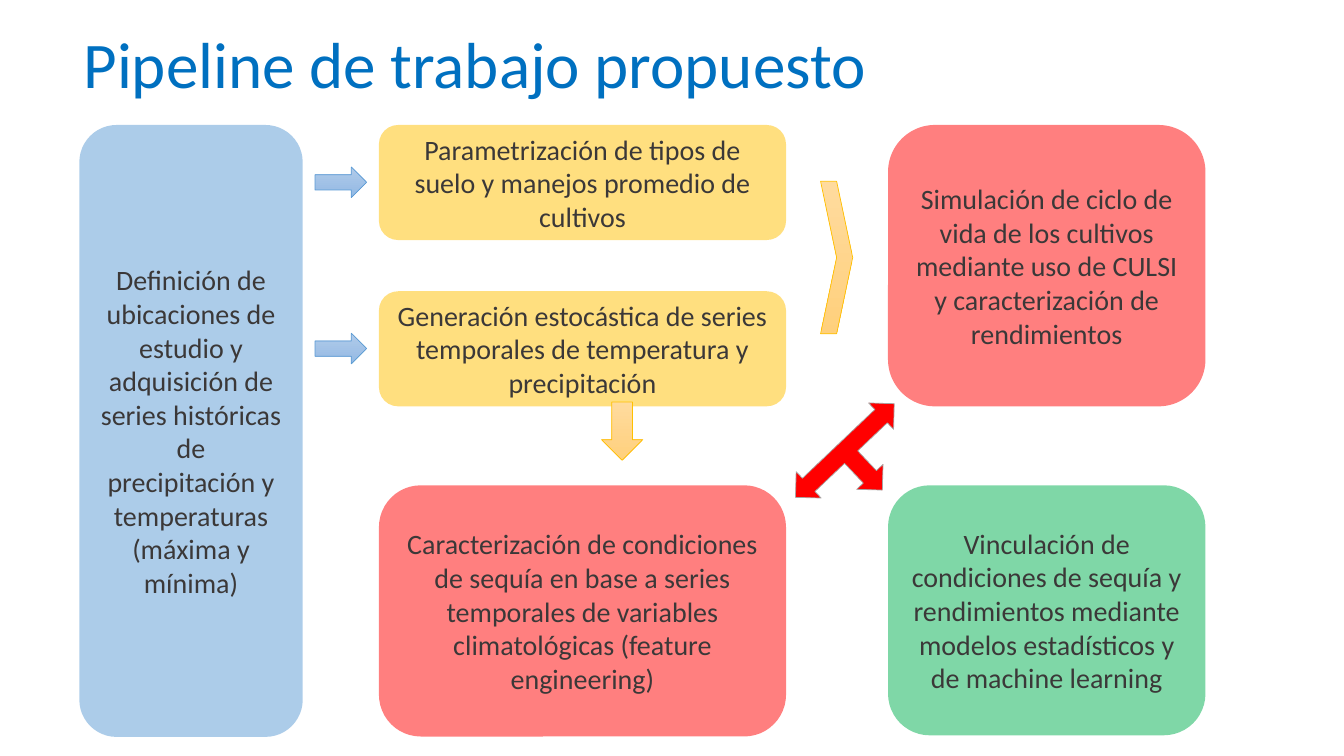
"""Builds the slide that shows the proposed drought and crop-yield workflow."""
from dataclasses import dataclass

from lxml import etree
from pptx import Presentation
from pptx import util as u
from pptx.dml.color import RGBColor
from pptx.enum import shapes, text
from pptx.oxml.ns import qn

Kind = shapes.MSO_SHAPE


@dataclass(frozen=True)
class Theme:
    font: str = "Calibri"
    title_size: float = 46.5
    body_size: float = 20
    title: str = "0070C0"
    ink: str = "3B3838"
    blue: str = "5B9BD5"
    amber: str = "FFC000"
    red: str = "FF0000"
    green: str = "00B050"
    grey: str = "A5A5A5"
    blue_fade: tuple = ("B1CBE9", "93B9E4")
    amber_fade: tuple = ("FFDB9E", "FFD07C")


def write(frame, words, size, color, font, align, anchor, spacing=None):
    frame.word_wrap = True
    frame.auto_size = text.MSO_AUTO_SIZE.NONE
    frame.vertical_anchor = anchor
    paragraph = frame.paragraphs[0]
    paragraph.alignment = align
    paragraph.line_spacing = spacing
    run = paragraph.add_run()
    run.text = words
    run.font.size = u.Pt(size)
    run.font.name = font
    run.font.color.rgb = RGBColor.from_string(color)


class Board:
    def __init__(self, slide, theme):
        self.slide = slide
        self.theme = theme

    def title(self, words, left, top, width, height):
        heading = self.slide.shapes.title
        heading.left, heading.top = u.Cm(left), u.Cm(top)
        heading.width, heading.height = u.Cm(width), u.Cm(height)
        write(heading.text_frame, words, size=self.theme.title_size, color=self.theme.title,
              font=self.theme.font, align=text.PP_ALIGN.LEFT,
              anchor=text.MSO_ANCHOR.BOTTOM, spacing=0.7)

    def shape(self, kind, box):
        shape = self.slide.shapes.add_shape(kind, *map(u.Cm, box))
        shape.shadow.inherit = False
        return shape

    def step(self, words, color, *box):
        card = self.shape(Kind.ROUNDED_RECTANGLE, box)
        card.fill.solid()
        card.fill.fore_color.rgb = RGBColor.from_string(color)
        tint = card.element.spPr.find(".//" + qn("a:srgbClr"))
        etree.SubElement(tint, qn("a:alpha")).set("val", "50000")
        card.line.fill.background()
        write(card.text_frame, words, size=self.theme.body_size, color=self.theme.ink,
              font=self.theme.font, align=text.PP_ALIGN.CENTER,
              anchor=text.MSO_ANCHOR.MIDDLE)

    def arrow(self, kind, fade, outline, *box, rotation=0):
        arrow = self.shape(kind, box)
        arrow.rotation = rotation
        if len(set(fade)) == 1:
            arrow.fill.solid()
            arrow.fill.fore_color.rgb = RGBColor.from_string(fade[0])
        else:
            arrow.fill.gradient()
            arrow.fill.gradient_angle = 270
            for stop, color in zip(arrow.fill.gradient_stops, fade):
                stop.color.rgb = RGBColor.from_string(color)
        arrow.line.color.rgb = RGBColor.from_string(outline)
        arrow.line.width = u.Pt(0.5)


theme = Theme()
deck = Presentation()
deck.slide_width, deck.slide_height = u.Cm(33.87), u.Cm(19.05)
board = Board(deck.slides.add_slide(deck.slide_layouts.get_by_name("Title Only")), theme)

board.title("Pipeline de trabajo propuesto", 1.85, 0.79, 29.21, 1.85)

sites, inputs, results = (2.0, 5.63), (9.55, 10.26), (22.38, 8.0)
top_row, series_row, bottom_row = 3.15, 7.34, 12.23
steps = [
    ("Definición de ubicaciones de estudio y adquisición de series históricas de "
     "precipitación y temperaturas (máxima y mínima)", theme.blue, sites, top_row, 15.42),
    ("Generación estocástica de series temporales de temperatura y precipitación",
     theme.amber, inputs, series_row, 2.9),
    ("Parametrización de tipos de suelo y manejos promedio de cultivos",
     theme.amber, inputs, top_row, 2.9),
    ("Simulación de ciclo de vida de los cultivos mediante uso de CULSI y "
     "caracterización de rendimientos", theme.red, results, top_row, 7.09),
    ("Caracterización de condiciones de sequía en base a series temporales de "
     "variables climatológicas (feature engineering)", theme.red, inputs, bottom_row, 6.33),
    ("Vinculación de condiciones de sequía y rendimientos mediante modelos "
     "estadísticos y de machine learning", theme.green, results, bottom_row, 6.3),
]
for words, color, (left, width), top, height in steps:
    board.step(words, color, left, top, width, height)

board.arrow(Kind.LEFT_RIGHT_UP_ARROW, (theme.red, theme.red), theme.grey,
            19.89, 10.77, 3.43, 1.83, rotation=136.5)
for row in (top_row, series_row):
    board.arrow(Kind.RIGHT_ARROW, theme.blue_fade, theme.blue, 7.94, row + 1.06, 1.3, 0.77)
board.arrow(Kind.DOWN_ARROW, theme.amber_fade, theme.amber, 15.16, 10.13, 1.04, 1.47)
board.arrow(Kind.CHEVRON, theme.amber_fade, theme.amber, 20.68, 4.57, 0.81, 3.84)

deck.save("out.pptx")
